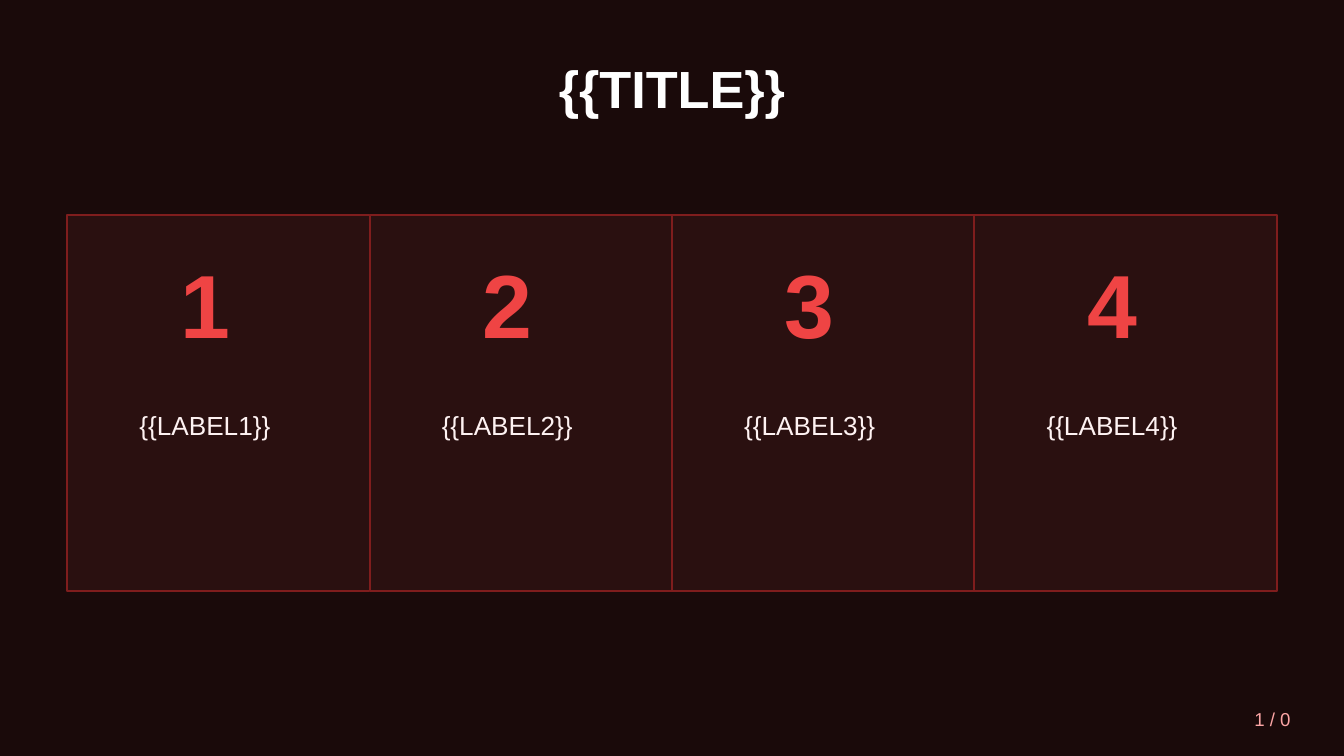
from dataclasses import dataclass

from pptx import Presentation
from pptx.dml.color import RGBColor
from pptx.enum.shapes import MSO_SHAPE
from pptx.enum.text import MSO_ANCHOR, PP_ALIGN
from pptx.util import Pt

RECTANGLE = MSO_SHAPE.RECTANGLE
TOP, MIDDLE = MSO_ANCHOR.TOP, MSO_ANCHOR.MIDDLE
CENTER, RIGHT = PP_ALIGN.CENTER, PP_ALIGN.RIGHT
TITLE_ONLY = 5


@dataclass(frozen=True)
class Theme:
    font: str = "Arial"
    background: str = "1A0A0A"
    card: str = "2A1010"
    border: str = "7F1D1D"
    title: str = "FFFFFF"
    number: str = "EF4444"
    label: str = "FEF2F2"
    page: str = "FCA5A5"
    title_size: int = 28
    number_size: int = 48
    label_size: int = 14
    page_size: int = 10


THEME = Theme()


def rgb(color):
    return RGBColor.from_string(color)


def write(holder, text, *, size, color, bold=False, align=CENTER, anchor=MIDDLE):
    """Put formatted text into a text box or placeholder."""
    frame = holder.text_frame
    frame.word_wrap = True
    frame.vertical_anchor = anchor
    frame.margin_left = frame.margin_right = Pt(7.2)
    frame.margin_top = frame.margin_bottom = Pt(3.6)
    paragraph = frame.paragraphs[0]
    paragraph.alignment = align
    paragraph.line_spacing = 1.0
    paragraph.space_before = Pt(0)
    run = paragraph.add_run()
    run.text = text
    run.font.name = THEME.font
    run.font.size = Pt(size)
    run.font.bold = bold
    run.font.color.rgb = rgb(color)


def add_text(slide, box, text, **style):
    write(slide.shapes.add_textbox(*map(Pt, box)), text, **style)


def place_title(slide, box, text):
    title = slide.shapes.title
    title.left, title.top, title.width, title.height = map(Pt, box)
    write(title, text, size=THEME.title_size, color=THEME.title, bold=True)


def add_card(slide, box, number, label):
    left, top, width, height = box
    panel = slide.shapes.add_shape(RECTANGLE, *map(Pt, box))
    panel.shadow.inherit = False
    panel.fill.solid()
    panel.fill.fore_color.rgb = rgb(THEME.card)
    panel.line.color.rgb = rgb(THEME.border)
    panel.line.width = Pt(1)

    # The text column is narrower than the panel and starts at its left edge
    text_width = width - 14.4
    add_text(slide, (left, top - 7.2, text_width, 108), number,
             size=THEME.number_size, color=THEME.number, bold=True)
    add_text(slide, (left, top + 100.8, text_width, 72), label,
             size=THEME.label_size, color=THEME.label, anchor=TOP)


def add_card_row(slide, box, labels):
    left, top, width, height = box
    card_width = width / len(labels)
    for index, label in enumerate(labels):
        card_box = (left + index * card_width, top, card_width, height)
        add_card(slide, card_box, str(index + 1), label)


def add_page_number(slide, box, text):
    add_text(slide, box, text, size=THEME.page_size, color=THEME.page, align=RIGHT)


def main():
    deck = Presentation()
    deck.slide_width, deck.slide_height = Pt(720), Pt(405)
    slide = deck.slides.add_slide(deck.slide_layouts[TITLE_ONLY])
    slide.background.fill.solid()
    slide.background.fill.fore_color.rgb = rgb(THEME.background)

    place_title(slide, (36, 21.6, 648, 50.4), "{{TITLE}}")
    labels = ["{{LABEL1}}", "{{LABEL2}}", "{{LABEL3}}", "{{LABEL4}}"]
    add_card_row(slide, (36, 115.2, 648, 201.6), labels)
    add_page_number(slide, (612, 374.4, 86.4, 21.6), "1 / 0")

    deck.save("out.pptx")


if __name__ == "__main__":
    main()
